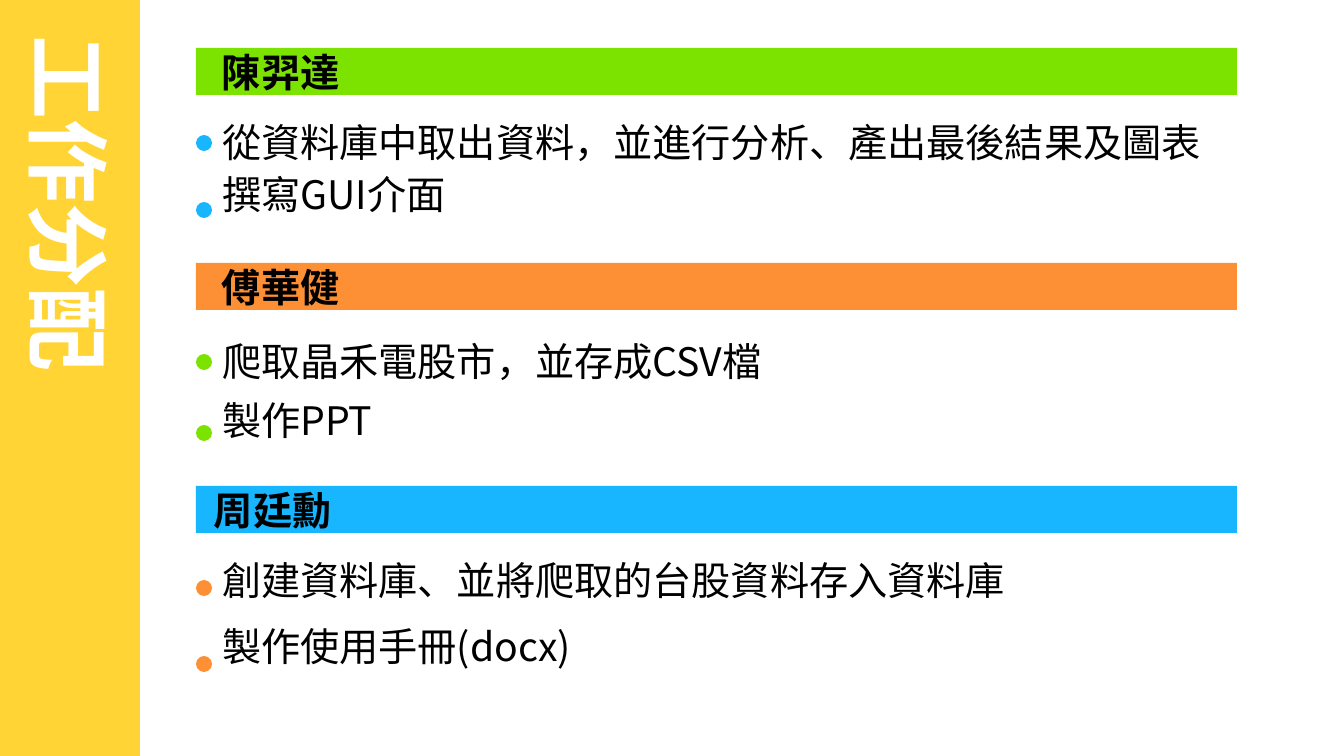
import pptx
import pptx.util
import pptx.dml.color
import pptx.enum.shapes
import pptx.enum.text
import pptx.oxml.ns
import lxml.etree
from dataclasses import dataclass

HEADING = "工作分配"
MEMBERS = [
    {"name": "陳羿達", "indent": 26, "bar_top": 48, "bar": "lime", "dot": "sky",
     "tasks": ["從資料庫中取出資料，並進行分析、產出最後結果及圖表", "撰寫GUI介面"],
     "tasks_top": 113, "task_step": 63, "dot_tops": [135, 202]},
    {"name": "傅華健", "indent": 26, "bar_top": 263, "bar": "orange", "dot": "lime",
     "tasks": ["爬取晶禾電股市，並存成CSV檔", "製作PPT"],
     "tasks_top": 332, "task_step": 70, "dot_tops": [354, 425]},
    {"name": "周廷勳", "indent": 18, "bar_top": 486, "bar": "sky", "dot": "orange",
     "tasks": ["創建資料庫、並將爬取的台股資料存入資料庫", "製作使用手冊(docx)"],
     "tasks_top": 551, "task_step": 76, "dot_tops": [580, 656]},
]


@dataclass(frozen=True)
class Theme:
    font: str = "Noto Sans CJK SC"
    heading_size: int = 60
    text_size: int = 28
    yellow: str = "FFD434"
    sky: str = "17B6FF"
    lime: str = "7CE200"
    orange: str = "FD9034"
    white: str = "FFFFFF"
    black: str = "000000"


THEME = Theme()
SLIDE_WIDTH, SLIDE_HEIGHT = 1344, 756
SIDEBAR_WIDTH = 140
BAR_LEFT, BAR_WIDTH, BAR_HEIGHT = 196, 1041, 47
DOT = 16
TASK_WIDTH, LINE_HEIGHT = 1060, 57
KIND = pptx.enum.shapes.MSO_SHAPE
ANCHOR = pptx.enum.text.MSO_ANCHOR
ALIGN = pptx.enum.text.PP_ALIGN


def px(length):
    return pptx.util.Emu(round(length * 914400 / 100.8))


def rgb(value):
    return pptx.dml.color.RGBColor.from_string(value)


def place(item, left, top, width, height):
    item.left, item.top = px(left), px(top)
    item.width, item.height = px(width), px(height)


def add_block(slide, kind, left, top, width, height, color):
    block = slide.shapes.add_shape(kind, px(left), px(top), px(width), px(height))
    block.shadow.inherit = False
    block.fill.solid()
    block.fill.fore_color.rgb = rgb(color)
    block.line.fill.background()
    return block


def style_text(frame, size, color, bold, anchor, align=ALIGN.LEFT):
    frame.auto_size = pptx.enum.text.MSO_AUTO_SIZE.NONE
    frame.vertical_anchor = anchor
    for paragraph in frame.paragraphs:
        paragraph.alignment = align
        paragraph.space_before = pptx.util.Pt(0)
        for run in paragraph.runs:
            run.font.name = THEME.font
            run.font.size = pptx.util.Pt(size)
            run.font.bold = bold
            run.font.color.rgb = rgb(color)
            east_asian = lxml.etree.SubElement(
                run.font._element, pptx.oxml.ns.qn("a:ea"))
            east_asian.set("typeface", THEME.font)


def add_heading(slide):
    sidebar = add_block(slide, KIND.RECTANGLE, 0, 0, SIDEBAR_WIDTH, SLIDE_HEIGHT,
                        THEME.yellow)
    slide.shapes._spTree.insert(2, sidebar._element)
    heading = slide.shapes.title
    place(heading, -283, 322, 706, 112)
    heading.rotation = 90
    heading.text_frame.text = HEADING
    style_text(heading.text_frame, THEME.heading_size, THEME.white, True,
               ANCHOR.TOP)


def add_member(slide, member, task_list):
    bar = add_block(slide, KIND.RECTANGLE, BAR_LEFT, member["bar_top"], BAR_WIDTH,
                    BAR_HEIGHT, getattr(THEME, member["bar"]))
    label = bar.text_frame
    label.text = member["name"]
    label.margin_left = px(member["indent"])
    label.margin_top = label.margin_bottom = 0
    style_text(label, THEME.text_size, THEME.black, True, ANCHOR.MIDDLE)

    step = member["task_step"]
    place(task_list, BAR_LEFT + DOT, member["tasks_top"], TASK_WIDTH, step + LINE_HEIGHT)
    tasks = task_list.text_frame
    tasks.text = "\n".join(member["tasks"])
    style_text(tasks, THEME.text_size, THEME.black, False, ANCHOR.TOP)
    for index, paragraph in enumerate(tasks.paragraphs):
        if index:
            paragraph.space_before = pptx.util.Pt(round((step - LINE_HEIGHT) * 72 / 100.8))
        properties = paragraph._p.get_or_add_pPr()
        properties.set("marL", "0")
        properties.set("indent", "0")
        lxml.etree.SubElement(properties, pptx.oxml.ns.qn("a:buNone"))

    for top in member["dot_tops"]:
        add_block(slide, KIND.OVAL, BAR_LEFT, top, DOT, DOT,
                  getattr(THEME, member["dot"]))


def main():
    deck = pptx.Presentation()
    deck.slide_width, deck.slide_height = px(SLIDE_WIDTH), px(SLIDE_HEIGHT)
    slide = deck.slides.add_slide(deck.slide_layouts.get_by_name("Comparison"))
    heading, *task_lists, spare = slide.placeholders
    spare._element.getparent().remove(spare._element)
    add_heading(slide)
    for member, task_list in zip(MEMBERS, task_lists):
        add_member(slide, member, task_list)
    deck.save("out.pptx")


if __name__ == "__main__":
    main()
